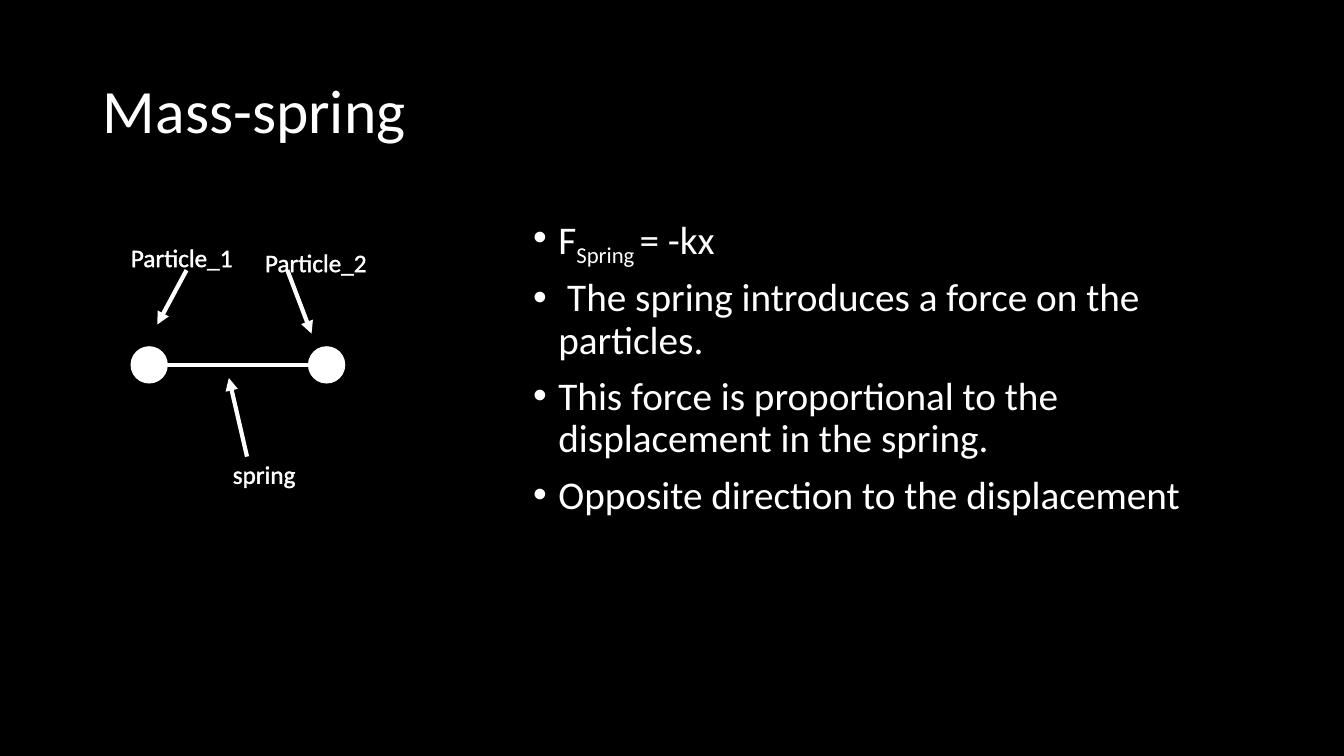
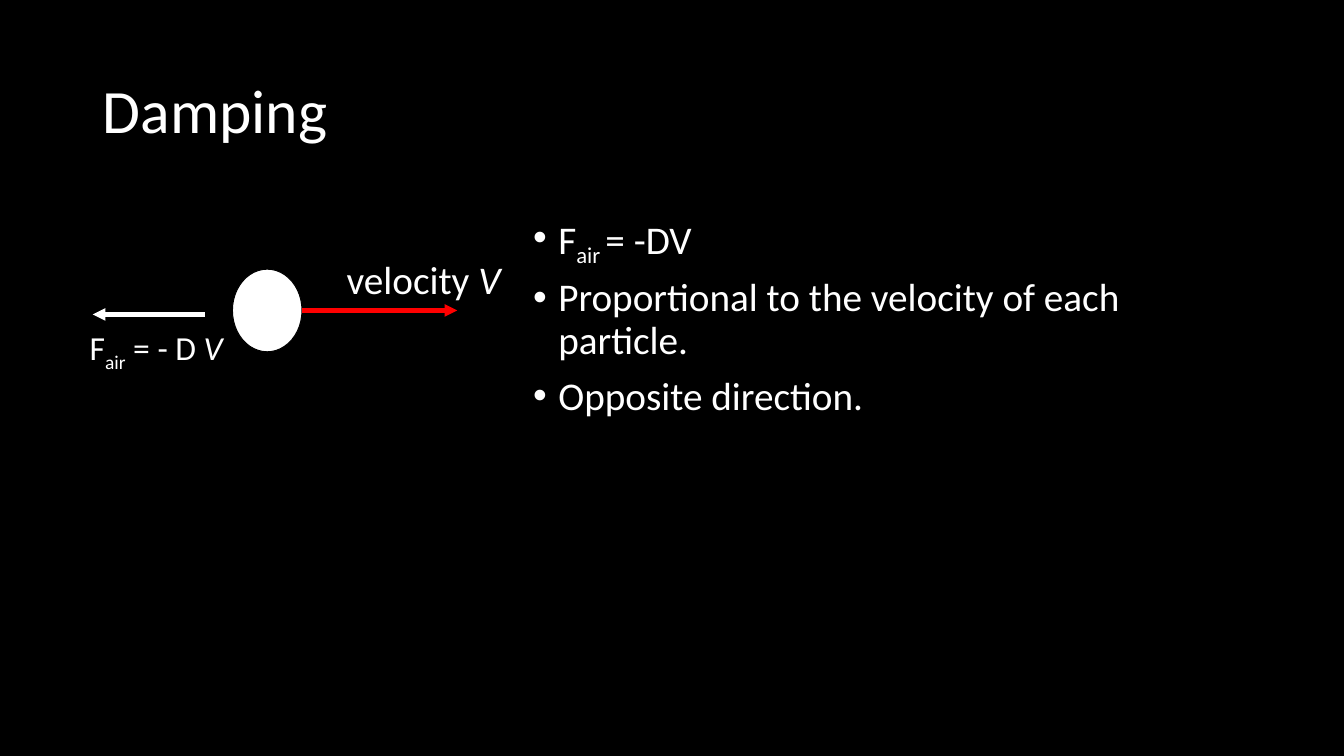
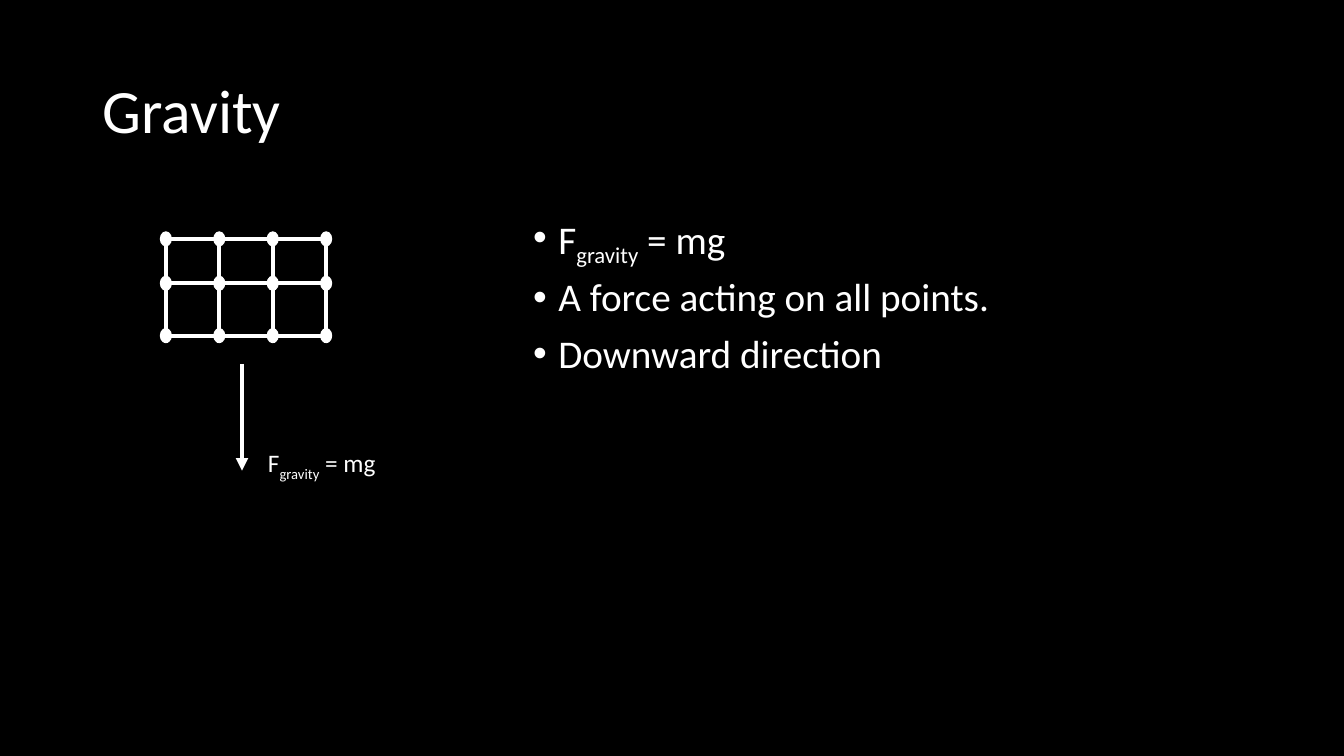
from lxml import etree
from pptx import Presentation
from pptx.dml.color import RGBColor
from pptx.enum.shapes import MSO_CONNECTOR, MSO_SHAPE
from pptx.enum.text import MSO_ANCHOR, MSO_AUTO_SIZE, PP_ALIGN
from pptx.oxml.ns import qn
from pptx.util import Inches, Pt

STRAIGHT = MSO_CONNECTOR.STRAIGHT
OVAL = MSO_SHAPE.OVAL
MIDDLE = MSO_ANCHOR.MIDDLE
LEFT = PP_ALIGN.LEFT
NO_FIT = MSO_AUTO_SIZE.NONE
GROW = MSO_AUTO_SIZE.SHAPE_TO_FIT_TEXT

BLACK = RGBColor(0x00, 0x00, 0x00)
WHITE = RGBColor(0xFF, 0xFF, 0xFF)
RED = RGBColor(0xFF, 0x00, 0x00)
FONT = "Calibri"

PLAIN, SUBSCRIPT, ITALIC, OUTLINED = "plain", "subscript", "italic", "outlined"

TITLE_BOX = (0.92, 0.4, 11.5, 1.45)
BODY_BOX = (5.19, 2.09, 6.73, 5.41)


def place(shape, box):
    shape.left, shape.top, shape.width, shape.height = map(Inches, box)


def add_run(paragraph, text, size, style=PLAIN):
    run = paragraph.add_run()
    run.text = text
    run.font.name = FONT
    run.font.size = Pt(size)
    run.font.color.rgb = WHITE
    properties = run._r.get_or_add_rPr()
    if style == SUBSCRIPT:
        properties.set("baseline", "-25000")
    elif style == ITALIC:
        run.font.italic = True
    elif style == OUTLINED:
        outline = etree.Element(qn("a:ln"), w=str(Pt(0.75)))
        fill = etree.SubElement(outline, qn("a:solidFill"))
        etree.SubElement(fill, qn("a:srgbClr"), val=str(WHITE))
        properties.insert(0, outline)


def add_runs(paragraph, runs, size):
    for text, style in runs:
        add_run(paragraph, text, size, style)


def add_title(slide, text):
    title = slide.shapes.title
    place(title, TITLE_BOX)
    frame = title.text_frame
    frame.auto_size = NO_FIT
    frame.vertical_anchor = MIDDLE
    paragraph = frame.paragraphs[0]
    paragraph.alignment = LEFT
    paragraph.line_spacing = 0.9
    add_run(paragraph, text, 44)


def add_bullets(slide, items, box):
    frame = slide.shapes.add_textbox(*map(Inches, box)).text_frame
    frame.word_wrap = True
    for index, runs in enumerate(items):
        paragraph = frame.add_paragraph() if index else frame.paragraphs[0]
        paragraph.line_spacing = 0.9
        paragraph.space_before = Pt(10)
        properties = paragraph._p.get_or_add_pPr()
        properties.set("marL", str(Inches(0.25)))
        properties.set("indent", str(-Inches(0.25)))
        etree.SubElement(properties, qn("a:buFont"), typeface="Arial")
        etree.SubElement(properties, qn("a:buChar"), char="•")
        add_runs(paragraph, runs, 28)


def add_label(shapes, box, runs, size, spaced=False):
    frame = shapes.add_textbox(*map(Inches, box)).text_frame
    frame.word_wrap = True
    frame.auto_size = GROW
    frame.margin_left = frame.margin_right = Inches(0.1)
    frame.margin_top = frame.margin_bottom = Inches(0.1)
    paragraph = frame.paragraphs[0]
    if spaced:
        paragraph.line_spacing = 1.15
        paragraph.space_after = Pt(12)
    add_runs(paragraph, runs, size)


def add_line(shapes, start, end, color=WHITE, arrow=False):
    points = map(Inches, (*start, *end))
    connector = shapes.add_connector(STRAIGHT, *points)
    connector.line.color.rgb = color
    connector.line.width = Pt(3)
    if arrow:
        line = connector.line._get_or_add_ln()
        etree.SubElement(line, qn("a:tailEnd"), type="triangle")
    etree.SubElement(connector._element.spPr, qn("a:effectLst"))


def add_particle(shapes, center_x, center_y, width, height, outline=WHITE):
    box = (center_x - width / 2, center_y - height / 2, width, height)
    particle = shapes.add_shape(OVAL, *map(Inches, box))
    particle.shadow.inherit = False
    particle.fill.solid()
    particle.fill.fore_color.rgb = WHITE
    particle.line.color.rgb = outline
    particle.line.width = Pt(0.75)


def draw_spring(shapes, left, top):
    """Two particles joined by a spring, each part named with an arrow."""
    diameter = 0.36
    first_x, second_x, axis_y = left + 0.28, left + 2.04, top + 1.32
    for center_x in (first_x, second_x):
        add_particle(shapes, center_x, axis_y, diameter, diameter)
    add_line(shapes, (first_x + diameter / 2, axis_y),
             (second_x - diameter / 2, axis_y))
    parts = (
        ("spring", (1.01, 2.15, 1.48, 0.5), (1.25, 2.23), (1.07, 1.45)),
        ("Particle_2", (1.33, 0.05, 1.26, 0.5), (1.65, 0.38), (1.89, 1.01)),
        ("Particle_1", (0, 0, 1.26, 0.5), (0.65, 0.38), (0.36, 0.92)),
    )
    for name, (x, y, width, height), start, end in parts:
        add_line(shapes, (left + start[0], top + start[1]),
                 (left + end[0], top + end[1]), arrow=True)
        add_label(shapes, (left + x, top + y, width, height),
                  [(name, OUTLINED)], 18)


def draw_damping(shapes, left, top):
    """A moving particle with its velocity and the opposing air force."""
    width, height = 0.69, 0.82
    center_x, center_y = left + 1.86, top + 0.65
    edge_x = center_x + width / 2
    force_y = top + 0.69
    add_label(shapes, (left, top + 0.65, 3.22, 0.83),
              [("F", PLAIN), ("air", SUBSCRIPT), (" = - D ", PLAIN),
               ("V", ITALIC)], 24, spaced=True)
    add_particle(shapes, center_x, center_y, width, height, BLACK)
    add_line(shapes, (edge_x, center_y), (edge_x + 1.54, center_y),
             RED, arrow=True)
    add_label(shapes, (left + 2.55, top, 1.86, 0.67),
              [("velocity ", PLAIN), ("V", ITALIC)], 28)
    add_line(shapes, (left + 1.24, force_y), (left + 0.13, force_y),
             arrow=True)


def draw_gravity(shapes, left, top):
    """A net of particles with an arrow pulling it down."""
    width, height = 0.11, 0.14
    columns = [left + width / 2 + 0.53 * index for index in range(4)]
    rows = [top + height / 2 + offset for offset in (0, 0.44, 0.96)]
    for y in rows:
        for x in columns:
            add_particle(shapes, x, y, width, height)
        for x, next_x in zip(columns, columns[1:]):
            add_line(shapes, (x + width / 2, y), (next_x - width / 2, y))
    for x in columns:
        add_line(shapes, (x, rows[0]), (x, rows[-1] + height / 2))
    arrow_x = left + 0.81
    add_line(shapes, (arrow_x, top + 1.31), (arrow_x, top + 2.37), arrow=True)
    add_label(shapes, (left + 0.97, top + 1.99, 1.66, 0.72),
              [("F", PLAIN), ("gravity", SUBSCRIPT), (" = mg", PLAIN)],
              18, spaced=True)


def add_force_slide(presentation, title, formula, statements, draw, origin):
    """Title, diagram on the left, formula and statements on the right."""
    slide = presentation.slides.add_slide(presentation.slide_layouts[5])
    add_title(slide, title)
    subscript, value = formula
    items = [[("F", PLAIN), (subscript, SUBSCRIPT), (value, PLAIN)]]
    items += [[(statement, PLAIN)] for statement in statements]
    add_bullets(slide, items, BODY_BOX)
    draw(slide.shapes.add_group_shape().shapes, *origin)


def main():
    presentation = Presentation()
    presentation.slide_width = Inches(13.33)
    presentation.slide_height = Inches(7.5)
    background = presentation.slide_master.background.fill
    background.solid()
    background.fore_color.rgb = BLACK

    add_force_slide(
        presentation, "Mass-spring", ("Spring ", "= -kx"),
        [" The spring introduces a force on the particles.",
         "This force is proportional to the displacement in the spring.",
         "Opposite direction to the displacement"],
        draw_spring, (1.2, 2.3))
    add_force_slide(
        presentation, "Damping", ("air ", "= -DV"),
        ["Proportional to the velocity of each particle.",
         "Opposite direction."],
        draw_damping, (0.79, 2.43))
    add_force_slide(
        presentation, "Gravity", ("gravity", " = mg"),
        ["A force acting on all points.", "Downward direction"],
        draw_gravity, (1.59, 2.3))
    presentation.save("out.pptx")


if __name__ == "__main__":
    main()
